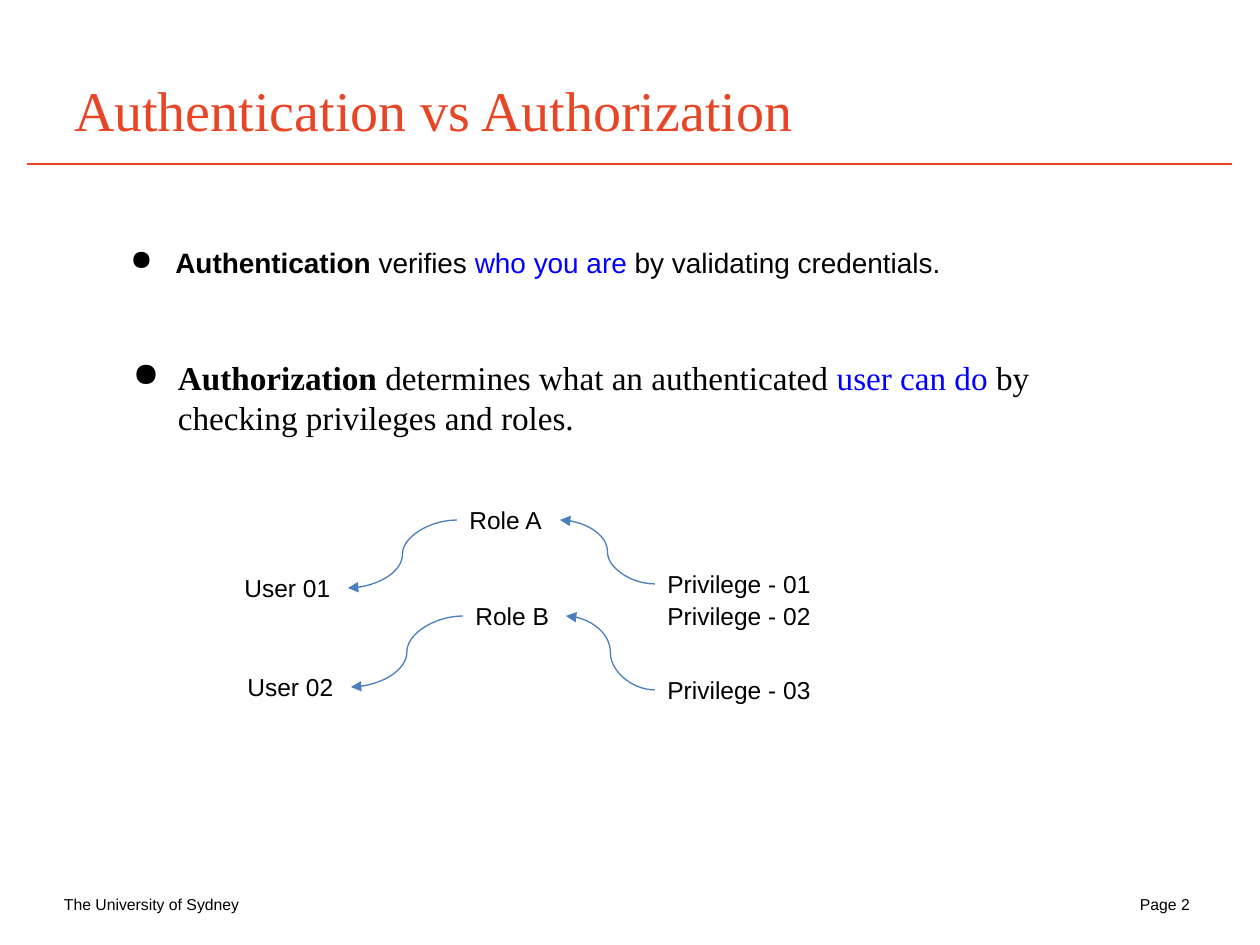
import pptx
import pptx.util
import pptx.dml.color
import pptx.enum.shapes
import pptx.oxml.ns
from dataclasses import dataclass
from lxml import etree

EMU_PER_PX = 914400 / 126
LEFT_SITE, RIGHT_SITE = 1, 3


def px(length):
    return pptx.util.Emu(round(length * EMU_PER_PX))


def child(parent, tag, **attributes):
    return etree.SubElement(parent, pptx.oxml.ns.qn(tag), **attributes)


@dataclass(frozen=True)
class Theme:
    accent: str = "E64625"
    ink: str = "000000"
    highlight: str = "0000FF"
    arrow: str = "4B7EBC"
    sans: str = "Arial"
    serif: str = "Times New Roman"
    title_size: int = 32
    body_size: int = 19
    point_size: int = 16
    label_size: int = 14
    footer_size: int = 9
    line_width: float = 0.75


def write(paragraph, text, *, size, font, color, bold=False):
    run = paragraph.add_run()
    run.text = text
    run.font.size = pptx.util.Pt(size)
    run.font.name = font
    run.font.bold = bold
    run.font.color.rgb = pptx.dml.color.RGBColor.from_string(color)


class SlideBuilder:
    def __init__(self, slide, theme):
        self.slide = slide
        self.theme = theme

    def text_box(self, left, top, width, height, inset=True):
        box = self.slide.shapes.add_textbox(px(left), px(top), px(width), px(height))
        frame = box.text_frame
        frame.word_wrap = True
        if not inset:
            frame.margin_left = frame.margin_right = 0
            frame.margin_top = frame.margin_bottom = 0
        return box, frame.paragraphs[0]

    def title(self, text, *bounds):
        _, paragraph = self.text_box(*bounds, inset=False)
        write(paragraph, text, size=self.theme.title_size,
              font=self.theme.serif, color=self.theme.accent)

    def footer(self, text, *bounds):
        _, paragraph = self.text_box(*bounds, inset=False)
        paragraph.line_spacing = 1.17
        child(paragraph._p.get_or_add_pPr(), "a:buNone")
        paragraph._p.get_or_add_pPr().set("marL", str(px(1)))
        write(paragraph, text, size=self.theme.footer_size,
              font=self.theme.sans, color=self.theme.ink)

    def bullet(self, term, parts, *bounds, size, font, inset):
        _, paragraph = self.text_box(*bounds, inset=inset)
        properties = paragraph._p.get_or_add_pPr()
        properties.set("marL", str(px(63)))
        properties.set("indent", str(px(-45)))
        child(child(properties, "a:buClr"), "a:srgbClr", val=self.theme.ink)
        child(properties, "a:buChar", char="●")
        before, key_phrase, after = parts
        ink = self.theme.ink
        write(paragraph, term, size=size, font=font, color=ink, bold=True)
        for text, color in ((before, ink), (key_phrase, self.theme.highlight), (after, ink)):
            write(paragraph, text, size=size, font=font, color=color)

    def label(self, text, left, top, width):
        box, paragraph = self.text_box(left, top, width, 42)
        write(paragraph, text, size=self.theme.label_size,
              font=self.theme.sans, color=self.theme.ink)
        return box

    def line(self, kind, color, start=(0, 0), end=(0, 0)):
        connector = self.slide.shapes.add_connector(kind, *map(px, start + end))
        connector.line.color.rgb = pptx.dml.color.RGBColor.from_string(color)
        connector.line.width = pptx.util.Pt(self.theme.line_width)
        child(connector._element.spPr, "a:effectLst")
        return connector

    def rule(self, start, end):
        self.line(pptx.enum.shapes.MSO_CONNECTOR.STRAIGHT, self.theme.accent, start, end)

    def grant(self, source, target):
        arrow = self.line(pptx.enum.shapes.MSO_CONNECTOR.CURVE, self.theme.arrow)
        arrow.begin_connect(source, LEFT_SITE)
        arrow.end_connect(target, RIGHT_SITE)
        child(arrow.line._get_or_add_ln(), "a:tailEnd", type="triangle")


def main():
    deck = pptx.Presentation()
    deck.slide_width, deck.slide_height = px(1260), px(945)
    theme = Theme()
    page = SlideBuilder(deck.slides.add_slide(deck.slide_layouts[6]), theme)

    page.rule((27, 164), (1232, 164))
    page.title("Authentication vs Authorization", 74, 75, 1038, 68)

    page.bullet("Authentication",
                (" verifies ", "who you are", " by validating credentials."),
                100, 239, 880, 47, size=theme.point_size, font=theme.sans, inset=True)
    page.bullet("Authorization",
                (" determines what an authenticated ", "user can do",
                 " by checking privileges and roles."),
                115, 357, 958, 121, size=theme.body_size, font=theme.serif, inset=False)

    user_1 = page.label("User 01", 232, 567, 116)
    user_2 = page.label("User 02", 235, 666, 116)
    role_a = page.label("Role A", 457, 499, 103)
    role_b = page.label("Role B", 463, 595, 103)
    privilege_1, _, privilege_3 = [
        page.label(f"Privilege - {number:02}", 655, top, 192)
        for number, top in enumerate((563, 595, 669), start=1)
    ]
    for source, target in ((privilege_1, role_a), (role_a, user_1),
                           (privilege_3, role_b), (role_b, user_2)):
        page.grant(source, target)

    page.footer("The University of Sydney", 63, 892, 224, 19)
    page.footer("Page 2", 1139, 892, 64, 19)

    deck.save("out.pptx")


if __name__ == "__main__":
    main()
